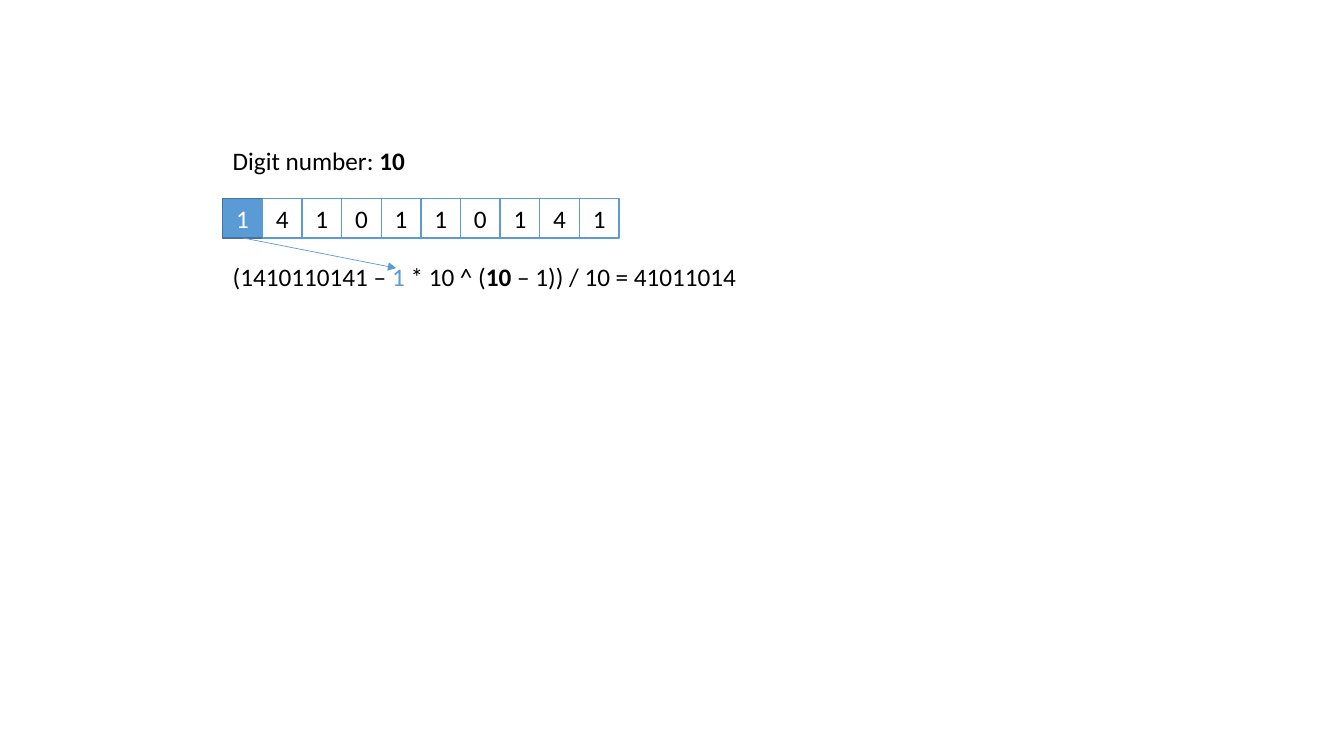
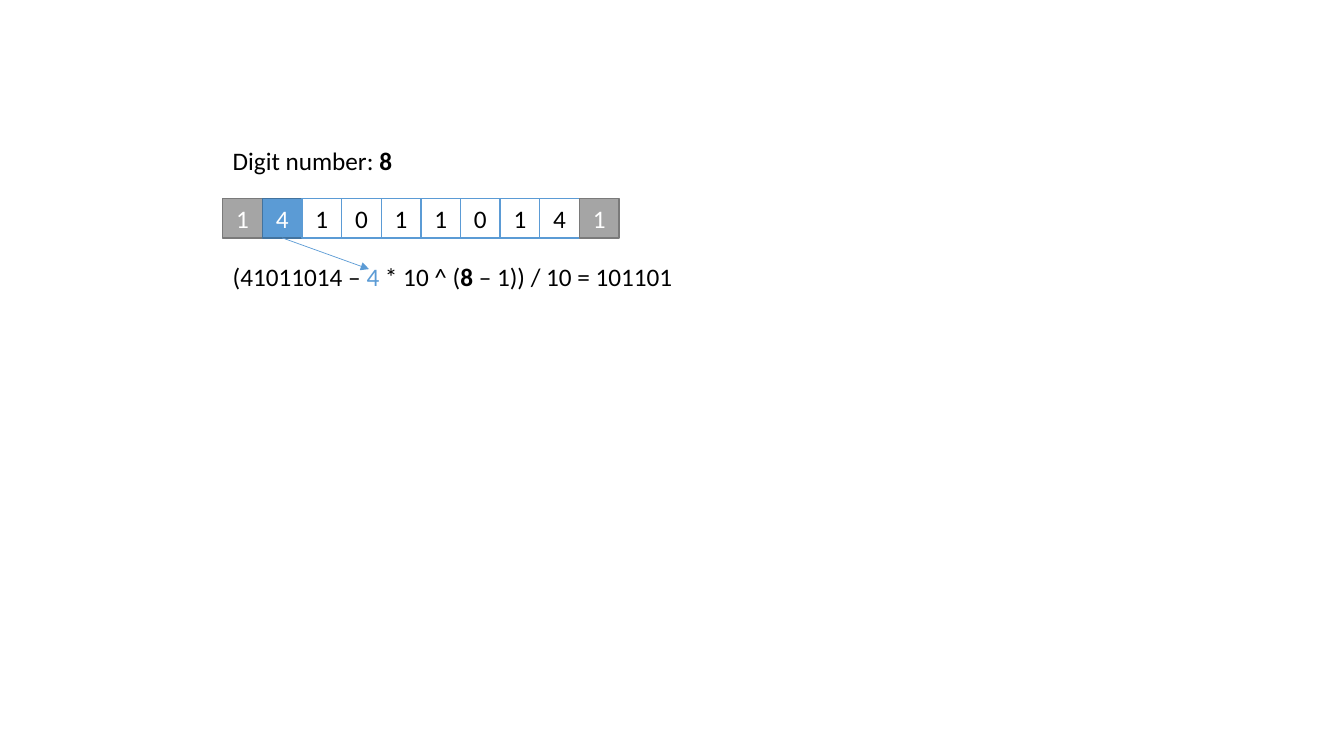
from lxml.etree import SubElement
from pptx import Presentation
from pptx.dml.color import RGBColor
from pptx.enum.shapes import MSO_CONNECTOR as Connector, MSO_SHAPE as Preset
from pptx.enum.text import MSO_ANCHOR as Anchor, MSO_AUTO_SIZE as AutoSize, PP_ALIGN as Align
from pptx.oxml.ns import qn
from pptx.util import Inches, Pt

BLUE, BLACK, WHITE = "5B9BD5", "000000", "FFFFFF"
# Cell state: fill, outline, text
CELL_STYLES = {
    "current": (BLUE, "43739E", WHITE),
    "waiting": (WHITE, BLUE, BLACK),
    "removed": ("A5A5A5", "7A7A7A", WHITE),
}
NUMBER = "1410110141"
LEFT = 2.21
ROW_BOX = (LEFT, 1.97, 3.93, 0.39)
# Step: label width, formula width, arrow tip
STEPS = [
    (1.93, 5.21, (3.93, 2.66)),
    (1.8, 4.62, (3.66, 2.67)),
]


def color(value):
    """Turn a hex string into a colour."""
    return RGBColor.from_string(value)


def add_span(para, text, shade=BLACK, bold=False):
    """Append one formatted run to a paragraph."""
    span = para.add_run()
    span.text = text
    span.font.color.rgb = color(shade)
    for name, value in {"name": "Calibri", "size": Pt(18), "bold": bold}.items():
        setattr(span.font, name, value)


def add_line_of_text(page, box, spans):
    """Place a single unwrapped line made of several spans."""
    frame = page.shapes.add_textbox(*map(Inches, box)).text_frame
    for name, value in {"word_wrap": False, "auto_size": AutoSize.SHAPE_TO_FIT_TEXT}.items():
        setattr(frame, name, value)
    for span in spans:
        add_span(frame.paragraphs[0], *span)


def add_cell(page, box, digit, state):
    """Draw one digit cell in the style of its state."""
    fill, outline, shade = CELL_STYLES[state]
    cell = page.shapes.add_shape(Preset.RECTANGLE, *map(Inches, box))
    cell.shadow.inherit = False
    cell.fill.solid()
    cell.fill.fore_color.rgb = color(fill)
    cell.line.color.rgb = color(outline)
    cell.line.width = Pt(1)
    cell.text_frame.vertical_anchor = Anchor.MIDDLE
    para = cell.text_frame.paragraphs[0]
    para.alignment = Align.CENTER
    add_span(para, digit, shade)


def add_digit_row(page, box, step):
    """Divide the box into equal cells; each step strips a digit from both ends."""
    left, top, width, height = box
    pitch = width / len(NUMBER)
    for index, digit in enumerate(NUMBER):
        if index == step:
            state = "current"
        elif step <= index < len(NUMBER) - step:
            state = "waiting"
        else:
            state = "removed"
        add_cell(page, (left + index * pitch, top, pitch, height), digit, state)


def add_arrow(page, start, end):
    """Draw a thin arrow from start to end."""
    arrow = page.shapes.add_connector(Connector.STRAIGHT, *map(Inches, (*start, *end)))
    arrow.line.color.rgb = color(BLUE)
    arrow.line.width = Pt(0.5)
    SubElement(arrow.line._get_or_add_ln(), qn("a:tailEnd"), type="triangle")
    SubElement(arrow._element.spPr, qn("a:effectLst"))


def add_step_page(deck, step, label_width, formula_width, tip):
    """Build the page for one step of removing the outer digits."""
    page = deck.slides.add_slide(deck.slide_layouts[6])
    current = NUMBER[step:len(NUMBER) - step]
    count = str(len(current))
    add_digit_row(page, ROW_BOX, step)
    add_line_of_text(page, (LEFT, 1.39, label_width, 0.4),
                     [("Digit number: ",), (count, BLACK, True)])
    add_line_of_text(page, (LEFT, 2.54, formula_width, 0.4), [
        (f"({current} – ",),
        (current[0], BLUE),
        (" * 10 ^ (",),
        (count, BLACK, True),
        (f" – 1)) / 10 = {current[1:-1]}",),
    ])
    left, top, width, height = ROW_BOX
    start = (left + (step + 0.5) * width / len(NUMBER), top + height)
    add_arrow(page, start, tip)


deck = Presentation()
deck.slide_width, deck.slide_height = Inches(13.33), Inches(7.5)
for step, details in enumerate(STEPS):
    add_step_page(deck, step, *details)
deck.save("out.pptx")
